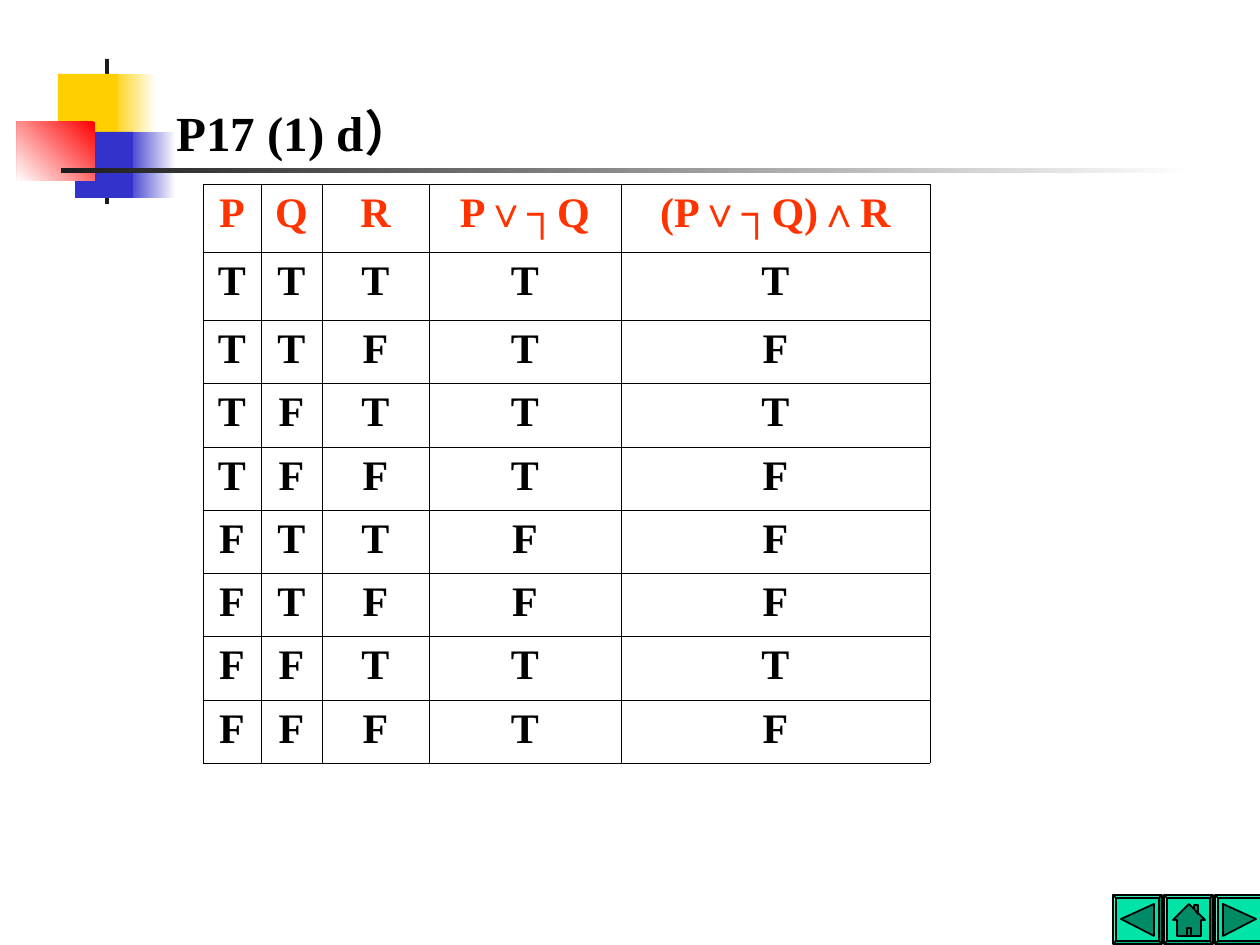
from dataclasses import dataclass
from itertools import product

from lxml.etree import SubElement
from pptx import Presentation
from pptx.dml.color import RGBColor
from pptx.enum.shapes import MSO_SHAPE
from pptx.enum.text import MSO_ANCHOR, MSO_AUTO_SIZE, PP_ALIGN
from pptx.oxml.ns import qn
from pptx.util import Emu, Pt

SCALE = 914400 / 126  # EMU per px


def px(n):
    return Emu(round(n * SCALE))


@dataclass(frozen=True)
class Theme:
    font: str = "Times New Roman"
    title_size: int = 28
    cell_size: int = 24
    black: str = "000000"
    white: str = "FFFFFF"
    ink: str = "1C1C1C"
    header: str = "FF3300"
    yellow: str = "FFCF01"
    blue: str = "3333CC"
    red: str = "FF0000"
    button: str = "00E4A8"
    icon: str = "008A65"


class Deck:
    def __init__(self, prs, theme):
        self.theme = theme
        self.s = prs.slides.add_slide(prs.slide_layouts[5])

    def run(self, p, text, size, color):
        r = p.add_run()
        r.text = text
        r.font.name = self.theme.font
        r.font.size = Pt(size)
        r.font.bold = True
        r.font.color.rgb = RGBColor.from_string(color)

    def title(self, x, y, w, h, text):
        sp = self.s.shapes.title
        sp.left, sp.top, sp.width, sp.height = map(px, (x, y, w, h))
        tf = sp.text_frame
        tf.word_wrap = True
        tf.auto_size = MSO_AUTO_SIZE.NONE
        tf.vertical_anchor = MSO_ANCHOR.TOP
        p = tf.paragraphs[0]
        p.alignment = PP_ALIGN.LEFT
        self.run(p, text, self.theme.title_size, self.theme.black)

    def paint(self, sp, fill, line=None):
        sp.shadow.inherit = False
        sp.fill.solid()
        sp.fill.fore_color.rgb = RGBColor.from_string(fill)
        if line:
            sp.line.color.rgb = RGBColor.from_string(line)
            sp.line.width = Pt(1)
        else:
            sp.line.fill.background()

    def shape(self, kind, x, y, w, h, fill, line=None):
        sp = self.s.shapes.add_shape(kind, *map(px, (x, y, w, h)))
        self.paint(sp, fill, line)
        return sp

    def fade(self, x, y, w, h, start, end, angle=0):
        sp = self.shape(MSO_SHAPE.RECTANGLE, x, y, w, h, start)
        sp.fill.gradient()
        sp.fill.gradient_angle = angle
        for stop, color in zip(sp.fill.gradient_stops, (start, end)):
            stop.color.rgb = RGBColor.from_string(color)

    def outline(self, points, fill, line):
        fb = self.s.shapes.build_freeform(*points[0], scale=SCALE)
        fb.add_line_segments(points[1:], close=True)
        self.paint(fb.convert_to_shape(), fill, line)

    def button(self, x, y, size, icons):
        t = self.theme
        sp = self.shape(MSO_SHAPE.BEVEL, x, y, size, size, t.button, t.black)
        sp.adjustments[0] = 0.06
        for icon in icons:
            self.outline([(x + dx, y + dy) for dx, dy in icon], t.icon, t.black)

    def cell(self, cell, text, color):
        tcPr = cell._tc.get_or_add_tcPr()
        for side in ("a:lnL", "a:lnR", "a:lnT", "a:lnB"):
            ln = SubElement(tcPr, qn(side), w=str(Pt(0.45)))
            fill = SubElement(ln, qn("a:solidFill"))
            SubElement(fill, qn("a:srgbClr"), val=self.theme.black)
        cell.fill.solid()
        cell.fill.fore_color.rgb = RGBColor.from_string(self.theme.white)
        p = cell.text_frame.paragraphs[0]
        p.alignment = PP_ALIGN.CENTER
        self.run(p, text, self.theme.cell_size, color)

    def table(self, xs, ys, rows):
        frame = self.s.shapes.add_table(
            len(rows), len(rows[0]),
            *map(px, (xs[0], ys[0], xs[-1] - xs[0], ys[-1] - ys[0])))
        tbl = frame.table
        tbl.first_row = tbl.horz_banding = False
        for col, a, b in zip(tbl.columns, xs, xs[1:]):
            col.width = px(b - a)
        for row, a, b in zip(tbl.rows, ys, ys[1:]):
            row.height = px(b - a)
        for i, row in enumerate(rows):
            color = self.theme.black if i else self.theme.header
            for j, text in enumerate(row):
                self.cell(tbl.cell(i, j), text, color)


def truth_rows():
    yield "P", "Q", "R", "P∨┐Q", "(P∨┐Q)∧R"
    for p, q, r in product("TF", repeat=3):
        either = "T" if p == "T" or q == "F" else "F"
        both = "T" if either == r == "T" else "F"
        yield p, q, r, either, both


def main():
    prs = Presentation()
    prs.slide_width, prs.slide_height = px(1260), px(945)
    t = Theme()
    deck = Deck(prs, t)

    # Corner ornament and title rule
    deck.fade(111, 74, 45, 66, t.yellow, t.white)
    deck.fade(126, 132, 50, 66, t.blue, t.white)
    deck.shape(MSO_SHAPE.RECTANGLE, 105, 59, 4, 145, t.ink)
    deck.shape(MSO_SHAPE.RECTANGLE, 58, 74, 60, 66, t.yellow)
    deck.shape(MSO_SHAPE.RECTANGLE, 75, 132, 58, 66, t.blue)
    deck.fade(17, 122, 78, 59, t.red, t.white, angle=225)
    deck.fade(61, 168, 1134, 5, t.ink, t.white)

    # Navigation buttons
    back = [(8, 24), (41, 9), (41, 41)]
    forward = [(49 - dx, dy) for dx, dy in back]
    chimney = [(30, 14), (30, 10), (34, 10), (34, 19)]
    house = [(25, 9), (41, 25), (37, 25), (37, 41), (13, 41), (13, 25), (9, 25)]
    door = [(23, 41), (23, 33), (27, 33), (27, 41)]
    for i, icons in enumerate(([back], [house, chimney, door], [forward])):
        deck.button(1113 + i * 51, 895, 49, icons)

    # Truth table
    column_edges = [203, 261, 322, 429, 621, 930]
    row_edges = [184, 252] + [320 + round(i * 443 / 7) for i in range(8)]
    deck.table(column_edges, row_edges, list(truth_rows()))

    # Title
    deck.title(164, 96, 307, 72, "P17 (1) d）")

    prs.save("out.pptx")


if __name__ == "__main__":
    main()
